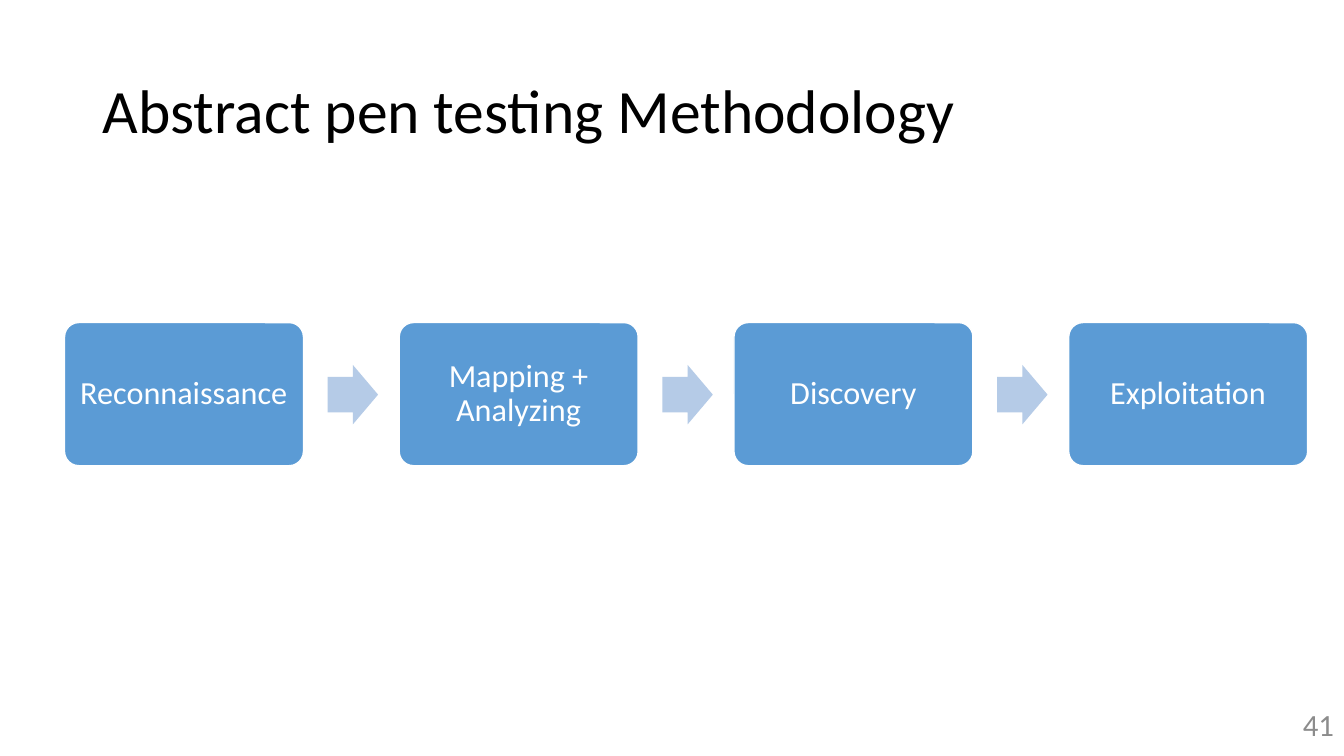
from pptx import Presentation
from pptx.dml.color import RGBColor
from pptx.enum.shapes import MSO_SHAPE
from pptx.enum.text import MSO_ANCHOR, PP_ALIGN
from pptx.util import Inches, Pt

STEPS = ["Reconnaissance", "Mapping + Analyzing", "Discovery", "Exploitation"]
LEFT, PITCH = 0.64, 3.32
ARROW_OFFSET = 2.61


def color(hex_code):
    """Turn a hex string into a colour."""
    return RGBColor.from_string(hex_code)


def write(s, text, size, hex_code, align=PP_ALIGN.LEFT, spacing=1.0, inset=0.05):
    """Put one vertically centred paragraph into a shape."""
    tf = s.text_frame
    frame_format = {
        "word_wrap": True,
        "vertical_anchor": MSO_ANCHOR.MIDDLE,
        "margin_left": Inches(0.1),
        "margin_right": Inches(0.1),
        "margin_top": Inches(inset),
        "margin_bottom": Inches(inset),
    }
    for name, value in frame_format.items():
        setattr(tf, name, value)
    p = tf.paragraphs[0]
    p.alignment, p.line_spacing = align, spacing
    r = p.add_run()
    r.text = text
    for name, value in {"name": "Calibri", "size": Pt(size)}.items():
        setattr(r.font, name, value)
    r.font.color.rgb = color(hex_code)


def add_text(slide, box, text, size, hex_code, **layout):
    """Add a text box at (left, top, width, height)."""
    write(slide.shapes.add_textbox(*map(Inches, box)), text, size, hex_code, **layout)


def add_shape(slide, kind, box, fill, adjustments):
    """Add a filled preset shape without outline or shadow."""
    s = slide.shapes.add_shape(kind, *map(Inches, box))
    s.shadow.inherit = False
    s.fill.solid()
    s.fill.fore_color.rgb = color(fill)
    s.line.fill.background()
    for i, value in enumerate(adjustments):
        s.adjustments[i] = value
    return s


def add_step(slide, left, text):
    """Add a rounded box holding one step of the process."""
    s = add_shape(slide, MSO_SHAPE.ROUNDED_RECTANGLE, (left, 3.2, 2.37, 1.42), "5B9BD5", [0.1])
    s.line.color.rgb = color("FFFFFF")
    s.line.width = Pt(1)
    write(s, text, 23, "FFFFFF", align=PP_ALIGN.CENTER, spacing=0.9, inset=0.1)


def add_arrow(slide, left):
    """Add the arrow that leads to the next step."""
    add_shape(slide, MSO_SHAPE.RIGHT_ARROW, (left, 3.62, 0.5, 0.59), "B5CBE7", [0.6, 0.5])


def main():
    """Build the slide and save it."""
    prs = Presentation()
    prs.slide_width, prs.slide_height = Inches(13.33), Inches(7.5)
    slide = prs.slides.add_slide(prs.slide_layouts[6])
    add_text(slide, (0.92, 0.4, 11.5, 1.45), "Abstract pen testing Methodology",
             44, "000000", spacing=0.9)
    add_text(slide, (12.27, 7.03, 1.06, 0.3), "41", 22, "8C8C8C", align=PP_ALIGN.RIGHT)
    for i, step in enumerate(STEPS):
        left = LEFT + i * PITCH
        add_step(slide, left, step)
        if i < len(STEPS) - 1:
            add_arrow(slide, left + ARROW_OFFSET)
    prs.save("out.pptx")


main()
